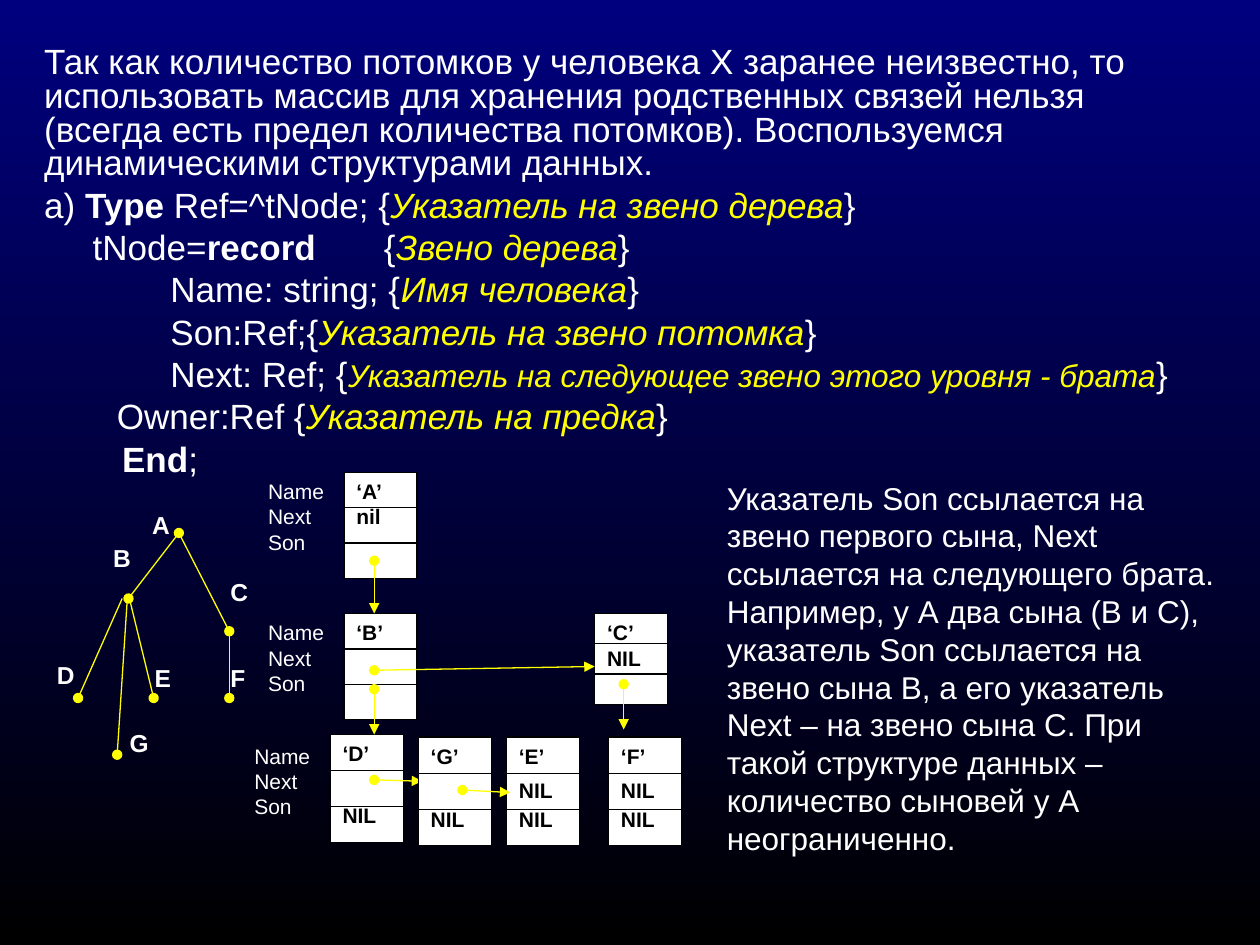
from pptx import Presentation
from pptx.dml.color import RGBColor
from pptx.enum.shapes import MSO_CONNECTOR, MSO_SHAPE
from pptx.enum.text import MSO_ANCHOR, MSO_AUTO_SIZE, PP_ALIGN
from pptx.oxml.ns import qn
from pptx.util import Inches, Pt
from lxml.etree import SubElement

WHITE, BLACK, YELLOW, NAVY = "FFFFFF", "000000", "FFFF00", "00007E"

INTRO = ("Так как количество потомков у человека Х заранее неизвестно, то использовать "
         "массив для хранения родственных связей нельзя (всегда есть предел количества "
         "потомков). Воспользуемся динамическими структурами данных.")
EXPLANATION = ("Указатель Son ссылается на звено первого сына, Next ссылается на следующего "
               "брата. Например, у А два сына (В и С), указатель Son ссылается на звено сына В, "
               "а его указатель Next – на звено сына С. При такой структуре данных – "
               "количество сыновей у А неограниченно.")

# Each line: code, keyword, code, comment, code; comments may have their own size
DECLARATION = [
    ("а) ", "Type", " Ref=^tNode; {", "Указатель на звено дерева", "}", 20),
    ("     tNode=", "record", "       {", "Звено дерева", "}", 20),
    ("             Name: string; {", "", "", "Имя человека", "}", 20),
    ("             Son:Ref;{", "", "", "Указатель на звено потомка", "}", 20),
    ("             Next: Ref; {", "", "",
     "Указатель на следующее звено этого уровня - брата", "}", 18),
    ("\t Owner:Ref {", "", "", "Указатель на предка", "}", 20),
    ("        ", "End", ";", "", "", 20),
]

# Tree of descendants: start, end, end marks
BRANCHES = [
    ((1.42, 4.23), (1.82, 5.01), "oval"),
    ((1.42, 4.23), (1.02, 4.75), None),
    ((1.02, 4.72), (1.22, 5.54), None),
    ((0.97, 4.75), (0.62, 5.54), None),
    ((1.82, 5.01), (1.82, 5.54), None),
    ((1.01, 4.76), (0.93, 5.99), None),
]
# Name, left, top, width, height
PEOPLE = [
    ("A", 1.11, 4.0, 0.34, 0.42), ("B", 0.8, 4.26, 0.56, 0.78),
    ("C", 1.73, 4.53, 0.56, 0.68), ("D", 0.25, 5.19, 0.44, 0.54),
    ("E", 1.13, 5.21, 0.56, 0.78), ("F", 1.73, 5.21, 0.56, 0.78),
    ("G", 0.93, 5.73, 0.6, 0.78),
]

# Linked records: left, top, height, lines as (text, space before)
TWO_NILS = [("NIL", 5.2), ("NIL", 2)]
FIRST_RECORDS = [
    (2.73, 3.75, 0.84, [("‘A’", 0), ("nil", 0)]),
    (2.73, 4.87, 0.84, [("‘B’", 0)]),
    (4.72, 4.87, 0.72, [("‘C’", 0), ("NIL", 0)]),
    (2.62, 5.83, 0.86, [("‘D’", 0), ("NIL", 21)]),
]
YOUNGER_RECORDS = [
    (3.32, 5.85, 0.86, [("‘G’", 0), ("NIL", 22)]),
    (4.02, 5.85, 0.86, [("‘E’", 0), *TWO_NILS]),
    (4.83, 5.85, 0.86, [("‘F’", 0), *TWO_NILS]),
]
POINTERS = [
    ((2.97, 4.45), (2.97, 4.87)), ((2.97, 5.32), (4.72, 5.29)),
    ((2.97, 5.47), (2.97, 5.83)), ((4.95, 5.43), (4.95, 5.79)),
    ((2.97, 6.19), (3.35, 6.2)),
]
LAST_POINTER = ((3.67, 6.27), (4.05, 6.29))
FIELD_LABELS = [(2.03, 3.75), (2.03, 4.87), (1.92, 5.85)]


def rgb(color):
    return RGBColor.from_string(color)


class SlideBuilder:
    font_name = "Arial"
    line_width = 0.75
    record_width = 0.58

    def __init__(self, slide):
        self.slide = slide
        self.shapes = slide.shapes

    def start_group(self):
        self.shapes = self.slide.shapes.add_group_shape().shapes

    def end_group(self):
        self.shapes = self.slide.shapes

    def style(self, font, size, color, bold=False, italic=False):
        font.name = self.font_name
        font.size = Pt(size)
        font.color.rgb = rgb(color)
        font.bold = bold
        font.italic = italic

    def background(self, top_color, bottom_color):
        fill = self.slide.background.fill
        fill.gradient()
        fill.gradient_angle = 270
        for stop, color, position in zip(fill.gradient_stops, (top_color, bottom_color), (0, 1)):
            stop.color.rgb = rgb(color)
            stop.position = position

    def declaration(self, left, top, width, height):
        """Fill the body placeholder with the introduction and the type declaration."""
        body = self.slide.placeholders[1]
        body.left, body.top = Inches(left), Inches(top)
        body.width, body.height = Inches(width), Inches(height)
        frame = body.text_frame
        frame.auto_size = MSO_AUTO_SIZE.NONE
        frame.text = INTRO
        self.style(frame.paragraphs[0].runs[0].font, 20, WHITE)
        for start, keyword, code, comment, end, comment_size in DECLARATION:
            paragraph = frame.add_paragraph()
            for text, size, color, bold, italic in (
                    (start, 20, WHITE, False, False), (keyword, 20, WHITE, True, False),
                    (code, 20, WHITE, False, False), (comment, comment_size, YELLOW, False, True),
                    (end, 20, WHITE, False, False)):
                if text:
                    run = paragraph.add_run()
                    run.text = text
                    self.style(run.font, size, color, bold, italic)
        for index, paragraph in enumerate(frame.paragraphs):
            paragraph.line_spacing = 0.8
            paragraph.space_before = Pt(5 if index else 0)
            properties = paragraph._p.get_or_add_pPr()
            properties.set("marL", "0")
            properties.set("indent", "0")
            SubElement(properties, qn("a:buNone"))

    def text(self, text, left, top, width, height, size, bold=False, align=PP_ALIGN.LEFT):
        box = self.shapes.add_textbox(Inches(left), Inches(top), Inches(width), Inches(height))
        frame = box.text_frame
        frame.word_wrap = True
        frame.text = text
        for paragraph in frame.paragraphs:
            paragraph.alignment = align
            self.style(paragraph.runs[0].font, size, WHITE, bold)

    def line(self, start, end, color, head=None, tail=None):
        points = [Inches(value) for value in (*start, *end)]
        connector = self.shapes.add_connector(MSO_CONNECTOR.STRAIGHT, *points)
        connector.line.color.rgb = rgb(color)
        connector.line.width = Pt(self.line_width)
        outline = connector.line._get_or_add_ln()
        for tag, mark in (("a:headEnd", head), ("a:tailEnd", tail)):
            if mark:
                SubElement(outline, qn(tag), type=mark)
        SubElement(connector._element.spPr, qn("a:effectLst"))

    def pointer(self, start, end):
        self.line(start, end, YELLOW, "oval", "triangle")

    def record(self, left, top, height, lines):
        """Draw a box of three equal fields."""
        box = self.shapes.add_shape(MSO_SHAPE.RECTANGLE, Inches(left), Inches(top),
                                    Inches(self.record_width), Inches(height))
        box.shadow.inherit = False
        box.fill.solid()
        box.fill.fore_color.rgb = rgb(WHITE)
        box.line.color.rgb = rgb(BLACK)
        box.line.width = Pt(self.line_width)
        frame = box.text_frame
        frame.vertical_anchor = MSO_ANCHOR.TOP
        frame.text = "\n".join(text for text, _ in lines)
        for paragraph, (_, space) in zip(frame.paragraphs, lines):
            paragraph.alignment = PP_ALIGN.LEFT
            paragraph.space_before = Pt(space)
            self.style(paragraph.runs[0].font, 12, BLACK, bold=True)
        for field in (1, 2):
            y = top + height * field / 3
            self.line((left, y), (left + self.record_width, y), BLACK)


def main():
    deck = Presentation()
    deck.slide_width, deck.slide_height = Inches(10), Inches(7.5)
    slide = deck.slides.add_slide(deck.slide_layouts[1])
    title = slide.shapes.title._element
    title.getparent().remove(title)

    builder = SlideBuilder(slide)
    builder.background(NAVY, BLACK)
    builder.declaration(0.25, 0.33, 9.33, 3.83)

    builder.start_group()
    for start, end, head in BRANCHES:
        builder.line(start, end, YELLOW, head, "oval")
    for name, *place in PEOPLE:
        align = PP_ALIGN.RIGHT if name == "D" else PP_ALIGN.LEFT
        builder.text(name, *place, size=14, bold=True, align=align)

    builder.start_group()
    for left, top in FIELD_LABELS:
        builder.text("Name\nNext\nSon", left, top, 0.7, 0.98, size=12)
    for record in FIRST_RECORDS:
        builder.record(*record)
    for pointer in POINTERS:
        builder.pointer(*pointer)
    for record in YOUNGER_RECORDS:
        builder.record(*record)
    builder.pointer(*LAST_POINTER)
    builder.end_group()

    builder.text(EXPLANATION, 5.67, 3.75, 4.08, 3.1, size=18)
    deck.save("out.pptx")


if __name__ == "__main__":
    main()
